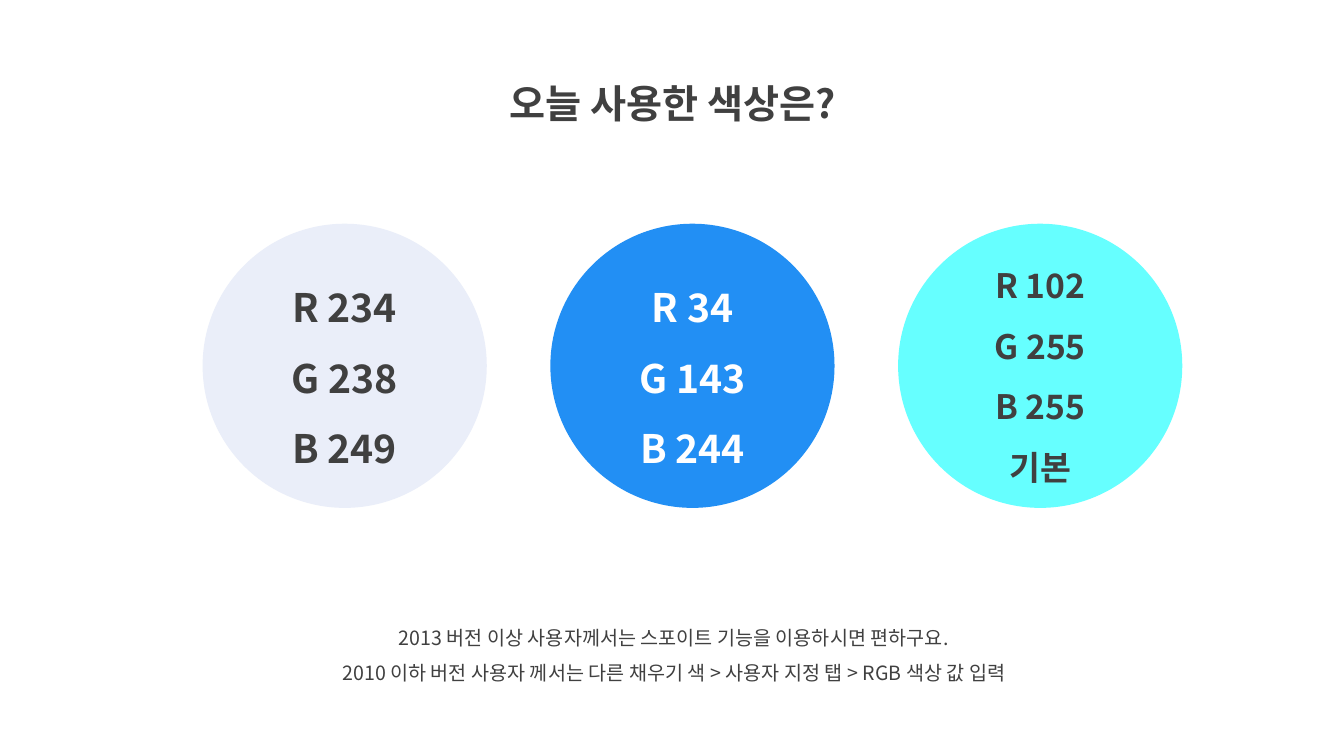
import dataclasses
import lxml.etree
import pptx
import pptx.dml.color
import pptx.enum.shapes
import pptx.enum.text
import pptx.oxml.ns
import pptx.util

Pt = pptx.util.Pt
FONT = "Noto Sans CJK KR"
DARK = "404040"
WHITE = "FFFFFF"
LEFT, TOP, SIZE, STEP = 144.7, 159.8, 203, 248.4


@dataclasses.dataclass
class Swatch:
    fill: str
    ink: str
    size: int
    lines: list[str]


SWATCHES = [
    Swatch("EAEEF9", DARK, 28, ["R 234", "G 238", "B 249"]),
    Swatch("228FF4", WHITE, 28, ["R 34", "G 143", "B 244"]),
    Swatch("66FFFF", DARK, 24, ["R 102", "G 255", "B 255", "기본"]),
]
TIPS = [
    "2013 버전 이상 사용자께서는 스포이트 기능을 이용하시면 편하구요.",
    "2010 이하 버전 사용자 께서는 다른 채우기 색 > 사용자 지정 탭 > RGB 색상 값 입력",
]


def paint(fill: pptx.dml.fill.FillFormat, color: str) -> None:
    fill.solid()
    fill.fore_color.rgb = pptx.dml.color.RGBColor.from_string(color)


def write(shape, lines: list[str], size: int, ink: str, bold: bool,
          anchor: pptx.enum.text.MSO_ANCHOR) -> None:
    frame = shape.text_frame
    frame.text = "\n".join(lines)
    frame.word_wrap = True
    frame.auto_size = pptx.enum.text.MSO_AUTO_SIZE.NONE
    frame.vertical_anchor = anchor
    for line in frame.paragraphs:
        line.alignment = pptx.enum.text.PP_ALIGN.CENTER
        line.line_spacing = 1.5
        for run in line.runs:
            font = run.font
            font.name, font.size, font.bold = FONT, Pt(size), bold
            paint(font.fill, ink)
            props = run._r.get_or_add_rPr()
            east = lxml.etree.SubElement(props, pptx.oxml.ns.qn("a:ea"))
            east.set("typeface", FONT)


def draw(shapes, swatch: Swatch, left: float) -> None:
    disc = shapes.add_shape(pptx.enum.shapes.MSO_SHAPE.OVAL,
                            Pt(left), Pt(TOP), Pt(SIZE), Pt(SIZE))
    disc.shadow.inherit = False
    paint(disc.fill, swatch.fill)
    disc.line.fill.background()
    write(disc, swatch.lines, swatch.size, swatch.ink, True,
          pptx.enum.text.MSO_ANCHOR.MIDDLE)


deck = pptx.Presentation()
deck.slide_width, deck.slide_height = Pt(960), Pt(540)
slide = deck.slides.add_slide(deck.slide_layouts[5])
paint(slide.background.fill, WHITE)

title = slide.shapes.title
title.left, title.top = Pt(314), Pt(36)
title.width, title.height = Pt(333.4), Pt(52)
write(title, ["오늘 사용한 색상은?"], 28, DARK, True,
      pptx.enum.text.MSO_ANCHOR.TOP)

for index, swatch in enumerate(SWATCHES):
    draw(slide.shapes, swatch, LEFT + index * STEP)

notes = slide.shapes.add_textbox(Pt(193.7), Pt(434.9), Pt(575.3), Pt(58.3))
write(notes, TIPS, 14, DARK, False, pptx.enum.text.MSO_ANCHOR.TOP)

deck.save("out.pptx")
